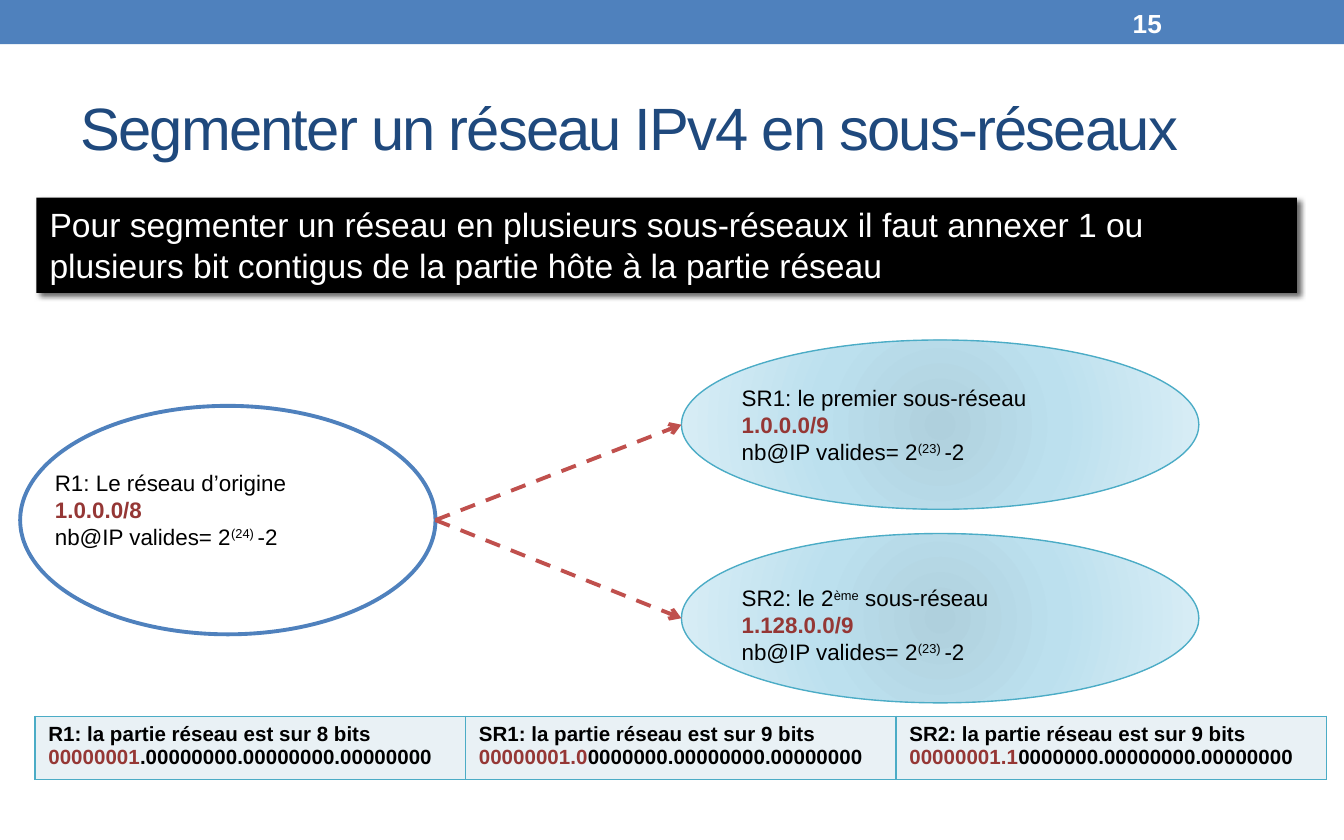
"""Build the slide on splitting an IPv4 network into subnets."""
from dataclasses import dataclass
from typing import NamedTuple

from lxml.etree import SubElement
from pptx import Presentation
from pptx.dml.color import RGBColor
from pptx.enum.dml import MSO_LINE
from pptx.enum.shapes import MSO_CONNECTOR, MSO_SHAPE
from pptx.enum.text import MSO_ANCHOR, PP_ALIGN
from pptx.oxml import parse_xml
from pptx.oxml.ns import nsdecls, qn
from pptx.util import Inches, Pt

COLS, ROWS = 100, 62.5
WIDTH, HEIGHT = Inches(10), Inches(6.25)
BLUE = RGBColor(0x4F, 0x81, 0xBD)
NAVY = RGBColor(0x1F, 0x49, 0x7D)
BLACK = RGBColor(0, 0, 0)
WHITE = RGBColor(0xFF, 0xFF, 0xFF)
MAROON = RGBColor(0x95, 0x37, 0x35)
RED = RGBColor(0xC0, 0x50, 0x4D)
TEAL = RGBColor(0x4B, 0xAC, 0xC6)
PALE = RGBColor(0xE9, 0xF1, 0xF5)
GLOW = ((0, RGBColor(0xAF, 0xD0, 0xDD)), (45, RGBColor(0xBC, 0xE0, 0xEE)),
        (100, RGBColor(0xDA, 0xEE, 0xF6)))


class Area(NamedTuple):
    """Place in grid columns and rows."""
    col: float
    row: float
    cols: float
    rows: float

    def emu(self) -> tuple:
        """Return left, top, width and height in slide units."""
        steps = (WIDTH / COLS, HEIGHT / ROWS) * 2
        return tuple(round(part * step) for part, step in zip(self, steps))


class Piece(NamedTuple):
    """Stretch of text with one look."""
    text: str
    color: RGBColor = BLACK
    bold: bool = False
    raised: bool = False


@dataclass
class Network:
    """Ellipse standing for a network, with its label."""
    oval: Area
    label: Area
    name: list
    address: str
    host_bits: int
    subnet: bool = True

    def lines(self) -> list:
        """Return the label as lines of pieces."""
        count = [Piece("nb@IP valides= 2"), Piece(f"({self.host_bits}) ", raised=True), Piece("-2")]
        return [self.name, [Piece(self.address, MAROON, True)], count]


class Mask(NamedTuple):
    """Network part and host part of an address in binary."""
    caption: str
    network: str
    host: str


NETWORKS = [
    Network(Area(1.5, 30.2, 30.9, 17), Area(3.1, 34.4, 19.8, 7.1),
            [Piece("R1: Le réseau d’origine")], "1.0.0.0/8", 24, False),
    Network(Area(50.7, 25.3, 38.5, 12.6), Area(54.2, 28.1, 31.5, 7.1),
            [Piece("SR1: le premier sous-réseau")], "1.0.0.0/9", 23),
    Network(Area(50.7, 39.7, 38.5, 12.6), Area(54.2, 43, 43.4, 7.1),
            [Piece("SR2: le 2"), Piece("ème", raised=True), Piece(" sous-réseau")],
            "1.128.0.0/9", 23),
]
MASKS = [
    Mask("R1: la partie réseau est sur 8 bits ", "00000001", ".00000000.00000000.00000000"),
    Mask("SR1: la partie réseau est sur 9 bits ", "00000001.0", "0000000.00000000.00000000"),
    Mask("SR2: la partie réseau est sur 9 bits ", "00000001.1", "0000000.00000000.00000000"),
]


def write(frame, lines: list, size: float, anchor=MSO_ANCHOR.TOP, spacing: int = 0) -> None:
    """Fill a text frame with lines of pieces."""
    for key, value in {"word_wrap": True, "vertical_anchor": anchor}.items():
        setattr(frame, key, value)
    for index, pieces in enumerate(lines):
        paragraph = frame.add_paragraph() if index else frame.paragraphs[0]
        paragraph.alignment = PP_ALIGN.LEFT
        for piece in pieces:
            run = paragraph.add_run()
            run.text = piece.text
            look = {"name": "Arial", "size": Pt(size), "bold": piece.bold}
            for key, value in look.items():
                setattr(run.font, key, value)
            run.font.color.rgb = piece.color
            extras = {"baseline": 30000 * piece.raised, "spc": spacing}
            for key, value in extras.items():
                if value:
                    run._r.get_or_add_rPr().set(key, str(value))


def add_label(slide, area: Area, lines: list, size: float, **layout) -> None:
    """Add free-standing text."""
    write(slide.shapes.add_textbox(*area.emu()).text_frame, lines, size, **layout)


def add_block(slide, kind, area: Area, color: RGBColor = None):
    """Add a flat shape without outline."""
    block = slide.shapes.add_shape(kind, *area.emu())
    block.shadow.inherit = False
    block.line.fill.background()
    if color is None:
        block.fill.background()
    else:
        block.fill.solid()
        block.fill.fore_color.rgb = color
    return block


def add_banner(slide, area: Area, text: str) -> None:
    """Add the rule on a black band with a soft shadow."""
    banner = add_block(slide, MSO_SHAPE.RECTANGLE, area, BLACK)
    write(banner.text_frame, [[Piece(text, WHITE)]], 18)
    effects = banner._element.spPr.find(qn("a:effectLst"))
    effects.append(parse_xml(
        f'<a:outerShdw {nsdecls("a")} blurRad="{Pt(3)}" dist="{Pt(2)}" dir="2700000" '
        'algn="tl" rotWithShape="0"><a:srgbClr val="000000"><a:alpha val="60000"/>'
        '</a:srgbClr></a:outerShdw>'))


def add_glow(oval) -> None:
    """Give an ellipse a radial gradient."""
    stops = "".join(f'<a:gs pos="{share * 1000}"><a:srgbClr val="{color}"/></a:gs>'
                    for share, color in GLOW)
    edges = " ".join(f'{side}="100000"' for side in "ltrb")
    properties = oval._element.spPr
    properties.replace(properties.find(qn("a:noFill")), parse_xml(
        f'<a:gradFill {nsdecls("a")} rotWithShape="1"><a:gsLst>{stops}</a:gsLst>'
        f'<a:path path="circle"><a:fillToRect {edges}/></a:path></a:gradFill>'))


def add_oval(slide, network: Network):
    """Add the ellipse of a network."""
    oval = add_block(slide, MSO_SHAPE.OVAL, network.oval)
    if network.subnet:
        add_glow(oval)
    oval.line.color.rgb = TEAL if network.subnet else BLUE
    oval.line.width = Pt(0.75 if network.subnet else 2.08)
    return oval


def add_arrow(slide, source, target) -> None:
    """Join the right of a network to the left of a subnet."""
    arrow = slide.shapes.add_connector(
        MSO_CONNECTOR.STRAIGHT, source.left + source.width, source.top + source.height // 2,
        target.left, target.top + target.height // 2)
    arrow.line.color.rgb = RED
    for key, value in {"width": Pt(2.08), "dash_style": MSO_LINE.DASH}.items():
        setattr(arrow.line, key, value)
    SubElement(arrow.line._get_or_add_ln(), qn("a:tailEnd"), type="arrow")
    SubElement(arrow._element.spPr, qn("a:effectLst"))


def add_masks(slide, area: Area, masks: list) -> None:
    """Add the table of binary addresses."""
    table = slide.shapes.add_table(1, len(masks), *area.emu()).table
    for key in ("first_row", "horz_banding"):
        setattr(table, key, False)
    for cell, mask in zip(table.rows[0].cells, masks):
        pieces = [Piece(mask.caption, bold=True), Piece(mask.network, MAROON, True),
                  Piece(mask.host, bold=True)]
        write(cell.text_frame, [pieces], 11)
        for side in "LRTB":
            cell._tc.get_or_add_tcPr().append(parse_xml(
                f'<a:ln{side} {nsdecls("a")} w="{Pt(1)}"><a:solidFill>'
                f'<a:srgbClr val="{TEAL}"/></a:solidFill></a:ln{side}>'))
        cell.fill.solid()
        cell.fill.fore_color.rgb = PALE


def main() -> None:
    """Assemble and save the slide."""
    deck = Presentation()
    for key, value in {"slide_width": WIDTH, "slide_height": HEIGHT}.items():
        setattr(deck, key, value)
    slide = deck.slides.add_slide(deck.slide_layouts[6])
    add_block(slide, MSO_SHAPE.RECTANGLE, Area(0, 0, COLS, 3.3), BLUE)
    add_label(slide, Area(5, 4.9, 90, 9), [[Piece("Segmenter un réseau IPv4 en sous-réseaux", NAVY)]],
              32, anchor=MSO_ANCHOR.MIDDLE, spacing=-100)
    add_banner(slide, Area(2.7, 14.7, 93.8, 7.1),
               "Pour segmenter un réseau en plusieurs sous-réseaux il faut annexer 1 ou "
               "plusieurs bit contigus de la partie hôte à la partie réseau")
    origin, *subnets = [add_oval(slide, network) for network in NETWORKS]
    for subnet in subnets:
        add_arrow(slide, origin, subnet)
    for network in NETWORKS:
        add_label(slide, network.label, network.lines(), 12)
    add_masks(slide, Area(2.6, 53.3, 96.1, 4.7), MASKS)
    add_label(slide, Area(83.3, 0.2, 11.7, 3), [[Piece("15", WHITE, True)]], 14,
              anchor=MSO_ANCHOR.MIDDLE)
    deck.save("out.pptx")


if __name__ == "__main__":
    main()
